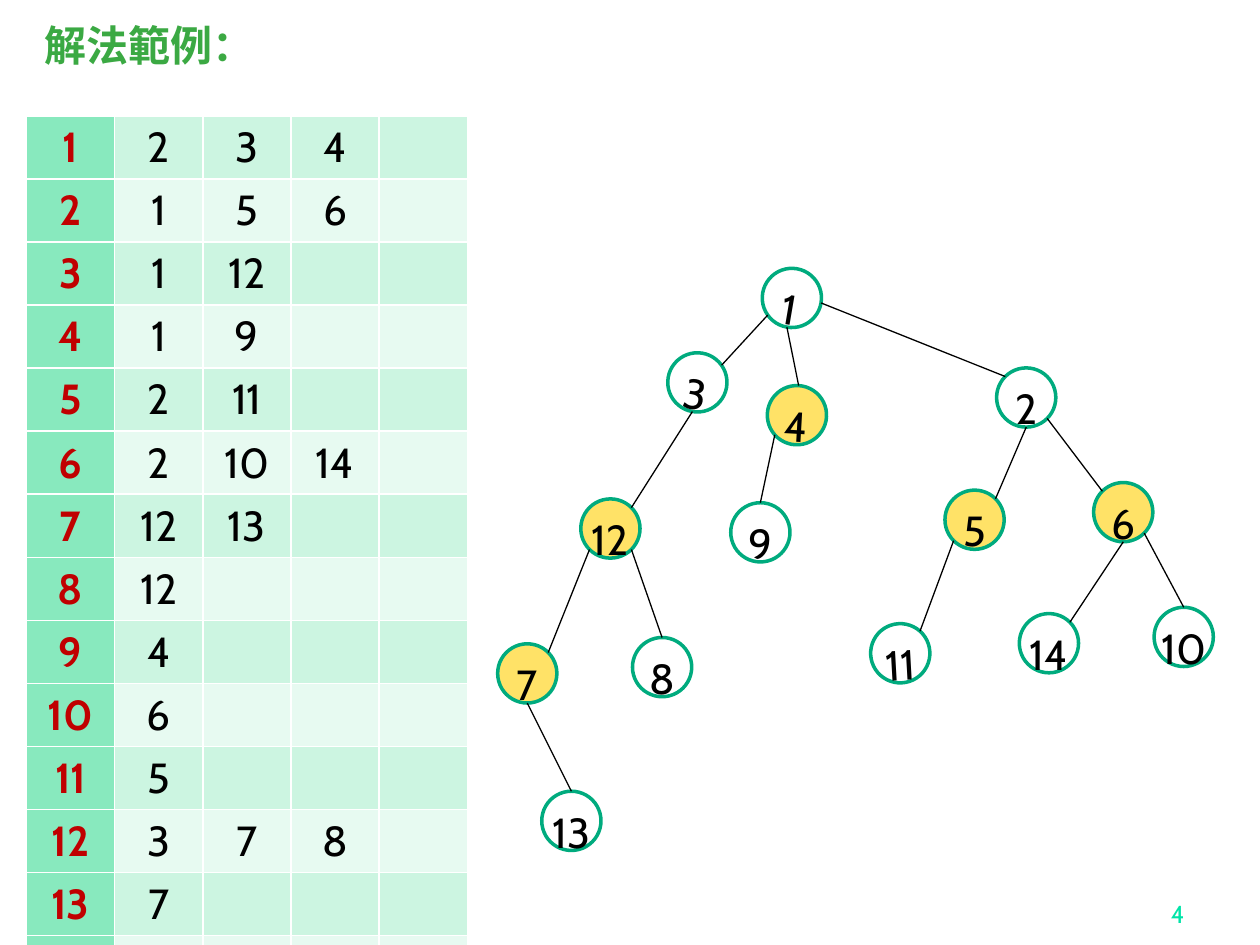
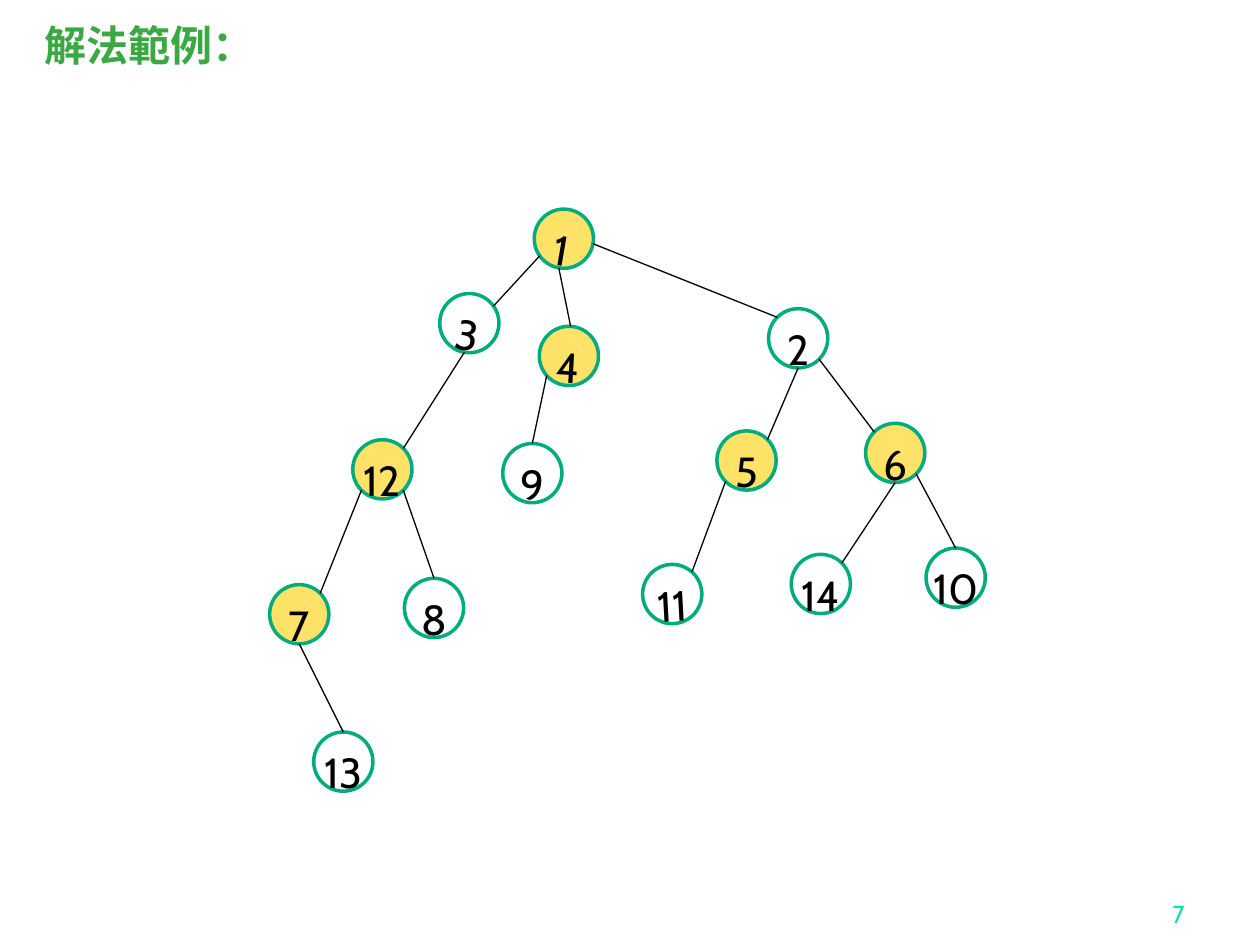
"""Build two slides that solve a tree problem from its neighbour table."""
from dataclasses import dataclass
from math import cos, radians, sin
from typing import Any, NamedTuple

from lxml.etree import Element, SubElement
from pptx import Presentation
from pptx.dml.color import RGBColor
from pptx.enum.shapes import MSO_CONNECTOR as Link, MSO_SHAPE as Form
from pptx.enum.text import MSO_ANCHOR as Anchor, MSO_AUTO_SIZE as Fit, PP_ALIGN as Align
from pptx.oxml.ns import qn
from pptx.util import Inches, Pt


@dataclass(frozen=True)
class Theme:
    font: str = "Cabin"
    head_font: str = "Times New Roman"
    size: int = 24
    small: int = 14
    ink: str = "000000"
    head: str = "3BA943"
    page: str = "00E4A8"
    key: str = "C00000"
    key_fill: str = "88E9BE"
    bands: tuple[str, str] = ("CCF5E1", "E7FAF1")
    ring: str = "00AB7E"
    plain: str = "FFFFFF"
    hot: str = "FFE267"


class Box(NamedTuple):
    col: float
    row: float
    wide: float
    high: float


class Node(NamedTuple):
    num: int
    col: float
    row: float
    turn: float = 0


class Edge(NamedTuple):
    top: int
    leave: int
    low: int
    enter: int


LOOK = Theme()
WIDE, HIGH = Inches(10), Inches(7.5)
UNIT = WIDE // 100
DISC = 4.7
HEAD = Box(2.5, 1.5, 22, 9.2)
PAGE = Box(74.2, 69.2, 20.8, 5)
GRID = Box(2.1, 9.2, 35, 56.8)

EAST, SE, SOUTH, SW, NW, NORTH, NE = 0, 45, 90, 135, 225, 270, 315

NODES = [
    Node(1, 21, 0, 9.7), Node(3, 13.5, 6.7, 9.7), Node(4, 21.4, 9.3, 3.4),
    Node(2, 39.6, 7.9), Node(12, 6.6, 18.3), Node(9, 18.5, 18.6),
    Node(5, 35.5, 17.6), Node(6, 47.3, 17), Node(7, 0, 29.8),
    Node(8, 10.7, 29.3), Node(11, 29.6, 28.2, 356.8), Node(14, 41.4, 27.4),
    Node(10, 52.1, 26.9), Node(13, 3.5, 41.5),
]
EDGES = [
    Edge(1, SW, 3, NE), Edge(1, SOUTH, 4, NORTH), Edge(1, EAST, 2, NW),
    Edge(3, SOUTH, 12, NE), Edge(4, SW, 9, NORTH), Edge(2, SOUTH, 5, NE),
    Edge(2, SE, 6, NW), Edge(12, SW, 7, NE), Edge(12, SE, 8, NORTH),
    Edge(5, SW, 11, NE), Edge(6, SOUTH, 14, NE), Edge(6, SE, 10, NORTH),
    Edge(7, SOUTH, 13, NORTH),
]
NEAR = [
    [2, 3, 4], [1, 5, 6], [1, 12], [1, 9], [2, 11], [2, 10, 14], [12, 13],
    [12], [4], [6], [5], [3, 7, 8], [7], [6],
]


def span(*vals: float) -> list[int]:
    """Turn grid units into lengths."""
    return [round(val * UNIT) for val in vals]


def apply(item: Any, vals: dict[str, Any]) -> None:
    """Set each named value on an item."""
    for name, val in vals.items():
        setattr(item, name, val)


def paint(fill: Any, tint: str) -> None:
    """Give a fill one solid colour."""
    fill.solid()
    fill.fore_color.rgb = RGBColor.from_string(tint)


def write(frame: Any, text: str, tint: str, align: Align = Align.CENTER, **font: Any) -> None:
    """Put one styled line in a text frame."""
    para = frame.paragraphs[0]
    para.alignment = align
    run = para.add_run()
    run.text = text
    apply(run.font, {"name": LOOK.font, "size": Pt(LOOK.size), "bold": False} | font)
    run.font.color.rgb = RGBColor.from_string(tint)


def frame(deck: Any, page: str) -> Any:
    """Add a slide with the shared title and page number."""
    slide = deck.slides.add_slide(deck.slide_layouts[5])
    title = slide.shapes.title
    apply(title, dict(zip(("left", "top", "width", "height"), span(*HEAD))))
    apply(title.text_frame, {"vertical_anchor": Anchor.TOP, "auto_size": Fit.NONE, "word_wrap": True})
    write(title.text_frame, "解法範例：", LOOK.head, Align.LEFT, name=LOOK.head_font, bold=True)
    title.text_frame.paragraphs[0].line_spacing = 0.9
    foot = slide.shapes.add_textbox(*span(*PAGE)).text_frame
    apply(foot, {"vertical_anchor": Anchor.BOTTOM, "word_wrap": True})
    write(foot, page, LOOK.page, Align.RIGHT, size=Pt(LOOK.small))
    return slide


def port(node: Node, angle: float) -> tuple[float, float]:
    """Find the point on a node's rim at an angle."""
    turn, half = radians(angle + node.turn), DISC / 2
    return node.col + half * (1 + cos(turn)), node.row + half * (1 + sin(turn))


def draw_node(slide: Any, node: Node, hot: bool) -> None:
    """Draw one numbered disc."""
    disc = slide.shapes.add_shape(Form.OVAL, *span(node.col, node.row, DISC, DISC))
    disc.rotation = node.turn
    disc.shadow.inherit = False
    paint(disc.fill, LOOK.hot if hot else LOOK.plain)
    paint(disc.line.fill, LOOK.ring)
    disc.line.width = Pt(2)
    apply(disc.text_frame, {"word_wrap": False, "vertical_anchor": Anchor.TOP})
    write(disc.text_frame, str(node.num), LOOK.ink)


def draw_edge(slide: Any, start: tuple[float, float], end: tuple[float, float]) -> None:
    """Draw one thin line between two points."""
    line = slide.shapes.add_connector(Link.STRAIGHT, *span(*start, *end))
    paint(line.line.fill, LOOK.ink)
    line.line.width = Pt(0.75)
    SubElement(line._element.spPr, qn("a:effectLst"))


def draw_tree(slide: Any, col: float, row: float, hot: set[int]) -> None:
    """Draw the tree from its top left corner."""
    nodes = {n.num: n._replace(col=n.col + col, row=n.row + row) for n in NODES}
    for node in nodes.values():
        draw_node(slide, node, node.num in hot)
    for edge in EDGES:
        draw_edge(slide, port(nodes[edge.top], edge.leave), port(nodes[edge.low], edge.enter))


def border(cell: Any) -> None:
    """Put a white line on all sides of a cell."""
    props = cell._tc.get_or_add_tcPr()
    for spot, side in enumerate("LRTB"):
        line = Element(qn(f"a:ln{side}"), w=str(Pt(1)))
        tint = SubElement(SubElement(line, qn("a:solidFill")), qn("a:srgbClr"))
        tint.set("val", LOOK.plain)
        props.insert(spot, line)


def draw_table(slide: Any) -> None:
    """Draw the table of each node's neighbours."""
    table = slide.shapes.add_table(len(NEAR), 5, *span(*GRID)).table
    apply(table, {"first_row": False, "horz_banding": False})
    for row, near in enumerate(NEAR):
        for col in range(5):
            cell = table.cell(row, col)
            paint(cell.fill, LOOK.bands[row % 2] if col else LOOK.key_fill)
            border(cell)
            if col == 0:
                write(cell.text_frame, str(row + 1), LOOK.key, bold=True)
            elif col <= len(near):
                write(cell.text_frame, str(near[col - 1]), LOOK.ink)


def main() -> None:
    """Build and save the deck."""
    deck = Presentation()
    apply(deck, {"slide_width": WIDE, "slide_height": HIGH})
    hot = {4, 5, 6, 7, 12}
    first = frame(deck, "4")
    draw_table(first)
    draw_tree(first, 39.5, 21.3, hot)
    draw_tree(frame(deck, "7"), 21.4, 16.6, hot | {1})
    deck.save("out.pptx")


if __name__ == "__main__":
    main()
